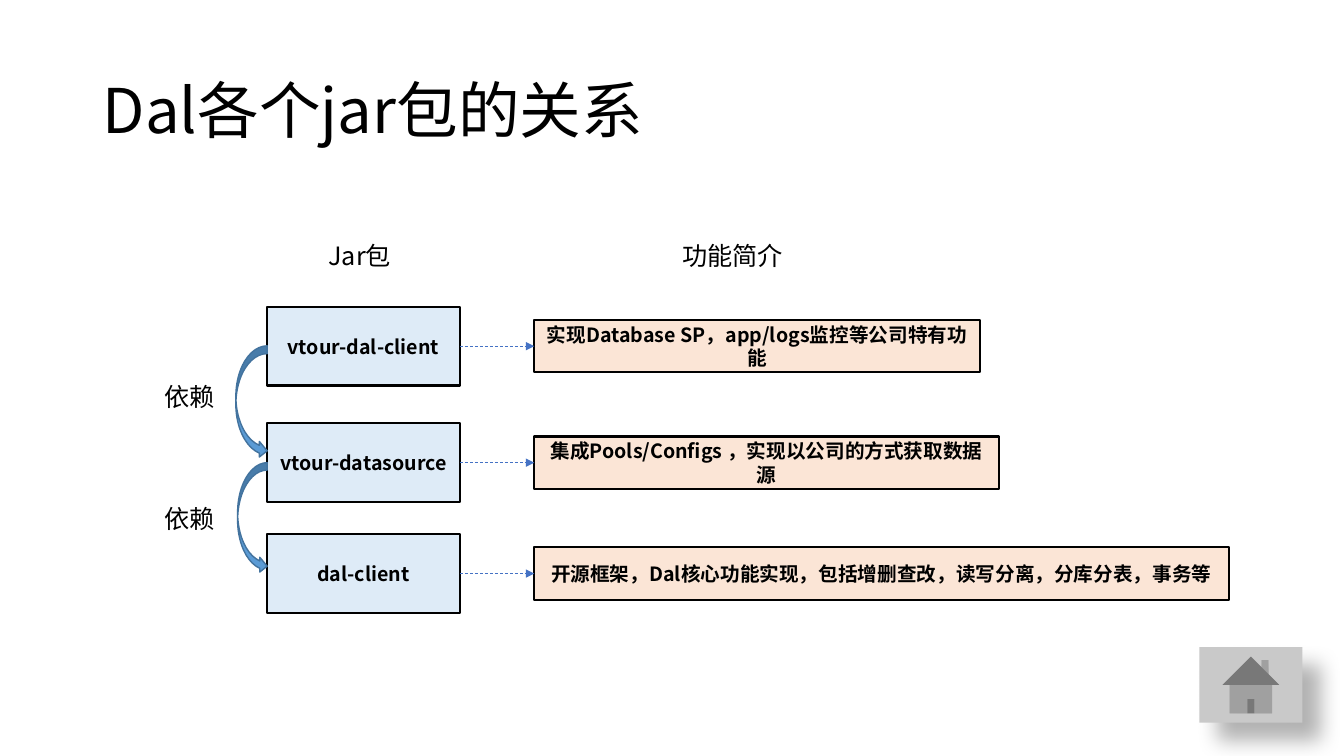
import pptx
import pptx.util
import pptx.dml.color
import pptx.enum.dml
import pptx.enum.shapes
import pptx.enum.text
import pptx.oxml
import pptx.oxml.ns

SHAPE = pptx.enum.shapes.MSO_SHAPE
ALIGN = pptx.enum.text.PP_ALIGN
FONT = "Noto Sans CJK SC"

deck = pptx.Presentation()
deck.slide_width = pptx.util.Inches(13.33)
deck.slide_height = pptx.util.Inches(7.5)
slide = deck.slides.add_slide(deck.slide_layouts[5])
items = slide.shapes
col = deck.slide_width / 100  # grid of 100 columns
row = deck.slide_height / 100  # and 100 rows


def write(item, words, size, bold=False, align=ALIGN.LEFT, middle=True):
    frame = item.text_frame
    frame.word_wrap = True
    frame.auto_size = pptx.enum.text.MSO_AUTO_SIZE.NONE
    anchor = pptx.enum.text.MSO_ANCHOR
    frame.vertical_anchor = anchor.MIDDLE if middle else anchor.TOP
    para = frame.paragraphs[0]
    para.alignment = align
    run = para.add_run()
    run.text = words
    run.font.size = pptx.util.Pt(size)
    run.font.bold = bold
    run.font.name = FONT
    run.font.color.rgb = pptx.dml.color.RGBColor.from_string("000000")
    east = pptx.oxml.parse_xml(
        f'<a:ea {pptx.oxml.ns.nsdecls("a")} typeface="{FONT}"/>')
    run.font._element.find(pptx.oxml.ns.qn("a:latin")).addnext(east)
    return para


def draw(kind, x, y, w, h, fill, line=None, width=1):
    item = items.add_shape(kind, int(x * col), int(y * row), int(w * col), int(h * row))
    item.shadow.inherit = False
    item.fill.solid()
    item.fill.fore_color.rgb = pptx.dml.color.RGBColor.from_string(fill)
    if line:
        item.line.color.rgb = pptx.dml.color.RGBColor.from_string(line)
        item.line.width = pptx.util.Pt(width)
    else:
        item.line.fill.background()
    return item


# Title
title = items.title
title.left, title.top = int(6.9 * col), int(5.33 * row)
title.width, title.height = int(86.25 * col), int(19.33 * row)
write(title, "Dal各个jar包的关系", 44).line_spacing = 0.9

# Jar boxes, their arrows and notes
jar_x, jar_w, jar_h = 19.88, 14.33, 10.4
note_x, note_h = 39.75, 6.93
jars = [
    (45.8, "vtour-dal-client", 33.15, "实现Database SP，app/logs监控等公司特有功能"),
    (61.2, "vtour-datasource", 34.58, "集成Pools/Configs ，实现以公司的方式获取数据源"),
    (75.87, "dal-client", 51.68, "开源框架，Dal核心功能实现，包括增删查改，读写分离，分库分表，事务等"),
]
for mid, name, note_w, note in jars:
    jar = draw(SHAPE.RECTANGLE, jar_x, mid - jar_h / 2, jar_w, jar_h, "DEEBF7", "000000", 1.5)
    write(jar, name, 14, True, ALIGN.CENTER)
    box = draw(SHAPE.RECTANGLE, note_x, mid - note_h / 2, note_w, note_h, "FBE5D6", "000000", 1.5)
    write(box, note, 14, True, ALIGN.CENTER)
    link = items.add_connector(
        pptx.enum.shapes.MSO_CONNECTOR.STRAIGHT,
        int((jar_x + jar_w) * col), int(mid * row), int(note_x * col), int(mid * row))
    link.line.color.rgb = pptx.dml.color.RGBColor.from_string("4472C4")
    link.line.width = pptx.util.Pt(0.5)
    link.line.dash_style = pptx.enum.dml.MSO_LINE.DASH
    space = pptx.oxml.ns.nsdecls("a")
    link.line._get_or_add_ln().append(
        pptx.oxml.parse_xml(f'<a:tailEnd {space} type="triangle"/>'))
    link._element.spPr.append(pptx.oxml.parse_xml(f'<a:effectLst {space}/>'))

# Home button with a soft shadow
home = draw(SHAPE.ACTION_BUTTON_HOME, 89.25, 85.6, 7.65, 10, "C9C9C9")
glow = home._element.spPr.find(pptx.oxml.ns.qn("a:effectLst"))
glow.append(pptx.oxml.parse_xml(
    f'<a:outerShdw {pptx.oxml.ns.nsdecls("a")} blurRad="{pptx.util.Pt(15)}" '
    f'dist="{pptx.util.Pt(18)}" dir="2700000" algn="tl" rotWithShape="0">'
    '<a:srgbClr val="000000"><a:alpha val="30000"/></a:srgbClr></a:outerShdw>'))

# Curved arrows from each jar to the one it needs
for top, w, h in [(45.75, 2.33, 14.93), (61.2, 2.2, 14.67)]:
    draw(SHAPE.CURVED_RIGHT_ARROW, jar_x - w, top, w, h, "5B9BD5", "43739E")

# Column heads and arrow labels
for x, y, w, words in [
    (23.7, 31.07, 12.08, "Jar包"),
    (50.03, 31.07, 18.53, "功能简介"),
    (11.48, 49.73, 5.33, "依赖"),
    (11.48, 65.87, 5.33, "依赖"),
]:
    label = items.add_textbox(int(x * col), int(y * row), int(w * col), int(5.33 * row))
    write(label, words, 18, middle=False)

deck.save("out.pptx")
